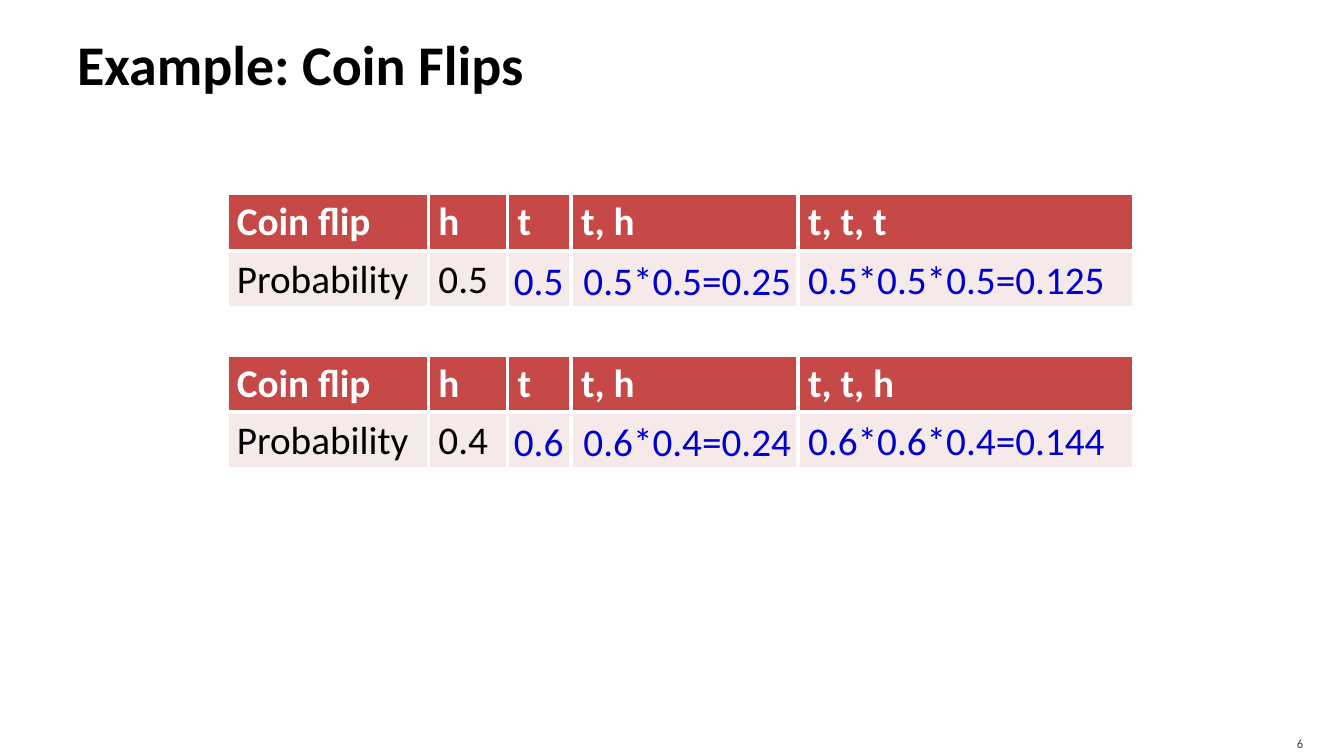
from dataclasses import dataclass

from lxml.etree import SubElement
from pptx import Presentation
from pptx.dml.color import RGBColor
from pptx.enum.text import MSO_ANCHOR as Anchor, MSO_AUTO_SIZE as Fit, PP_ALIGN as Align
from pptx.oxml.ns import qn
from pptx.slide import Slide
from pptx.table import _Cell as Cell
from pptx.text.text import TextFrame
from pptx.util import Pt

FONT = "Calibri"
BLACK = RGBColor(0x00, 0x00, 0x00)
WHITE = RGBColor(0xFF, 0xFF, 0xFF)
GREY = RGBColor(0x45, 0x45, 0x45)
BLUE = RGBColor(0x00, 0x00, 0xCC)
RED = RGBColor(0xC6, 0x48, 0x47)
PINK = RGBColor(0xF5, 0xE9, 0xE9)

LEFT = 162
COLS = (144, 56.5, 45.4, 162.2, 239.9)
ROW = 40.7
SIZE = 28


@dataclass(frozen=True)
class Answer:
    text: str
    left: float
    width: float
    drop: float  # distance below the top of the table


@dataclass(frozen=True)
class Coin:
    top: float
    heads: tuple[str, ...]
    chance: str
    answers: tuple[Answer, ...]


COINS = (
    Coin(138.24, ("Coin flip", "h", "t", "t, h", "t, t, t"), "0.5", (
        Answer("0.5", 360, 51.1, 41),
        Answer("0.5*0.5=0.25", 409.7, 164.9, 41),
        Answer("0.5*0.5*0.5=0.125", 570.2, 236.2, 40.3),
    )),
    Coin(253.44, ("Coin flip", "h", "t", "t, h", "t, t, h"), "0.4", (
        Answer("0.6", 360, 52.6, 41),
        Answer("0.6*0.4=0.24", 409.7, 169.2, 41),
        Answer("0.6*0.6*0.4=0.144", 570.2, 239.8, 40.3),
    )),
)


def write(frame: TextFrame, text: str, size: float, color: RGBColor,
          bold: bool = False) -> None:
    frame.text = text
    for run in frame.paragraphs[0].runs:
        font = run.font
        font.name, font.size, font.bold = FONT, Pt(size), bold
        font.color.rgb = color


def add_text(slide: Slide, left: float, top: float, width: float,
             height: float) -> TextFrame:
    box = slide.shapes.add_textbox(Pt(left), Pt(top), Pt(width), Pt(height))
    return box.text_frame


def add_edges(cell: Cell) -> None:
    """Draw white borders; they must precede the fill in the cell's XML."""
    props = cell._tc.get_or_add_tcPr()
    for side in ("lnL", "lnR", "lnT", "lnB"):
        line = SubElement(props, qn(f"a:{side}"), w=str(Pt(3)))
        fill = SubElement(line, qn("a:solidFill"))
        SubElement(fill, qn("a:srgbClr"), val=str(WHITE))


def add_coin(slide: Slide, coin: Coin) -> None:
    frame = slide.shapes.add_table(2, len(COLS), Pt(LEFT), Pt(coin.top),
                                   Pt(sum(COLS)), Pt(2 * ROW))
    table = frame.table
    for col, width in zip(table.columns, COLS):
        col.width = Pt(width)
    rows = (
        (coin.heads, RED, WHITE, True),
        (("Probability", coin.chance, "", "", ""), PINK, BLACK, False),
    )
    for row, (texts, fill, color, bold) in zip(table.rows, rows):
        row.height = Pt(ROW)
        for cell, text in zip(row.cells, texts):
            add_edges(cell)
            cell.fill.solid()
            cell.fill.fore_color.rgb = fill
            write(cell.text_frame, text, SIZE, color, bold)
    for item in coin.answers:
        frame = add_text(slide, item.left, coin.top + item.drop, item.width, 41)
        frame.word_wrap = False
        frame.auto_size = Fit.SHAPE_TO_FIT_TEXT
        write(frame, item.text, SIZE, BLUE)


def main() -> None:
    deck = Presentation()
    deck.slide_width, deck.slide_height = Pt(960), Pt(540)
    slide = deck.slides.add_slide(deck.slide_layouts[6])

    title = add_text(slide, 48, 6, 864, 78)
    title.word_wrap = True
    title.vertical_anchor = Anchor.MIDDLE
    write(title, "Example: Coin Flips", 40, BLACK, True)

    for coin in COINS:
        add_coin(slide, coin)

    page = add_text(slide, 861, 518.4, 77, 21.6)
    page.word_wrap = True
    page.vertical_anchor = Anchor.MIDDLE
    page.margin_bottom = 0
    write(page, "6", 9, GREY)
    page.paragraphs[0].alignment = Align.RIGHT

    deck.save("out.pptx")


if __name__ == "__main__":
    main()
